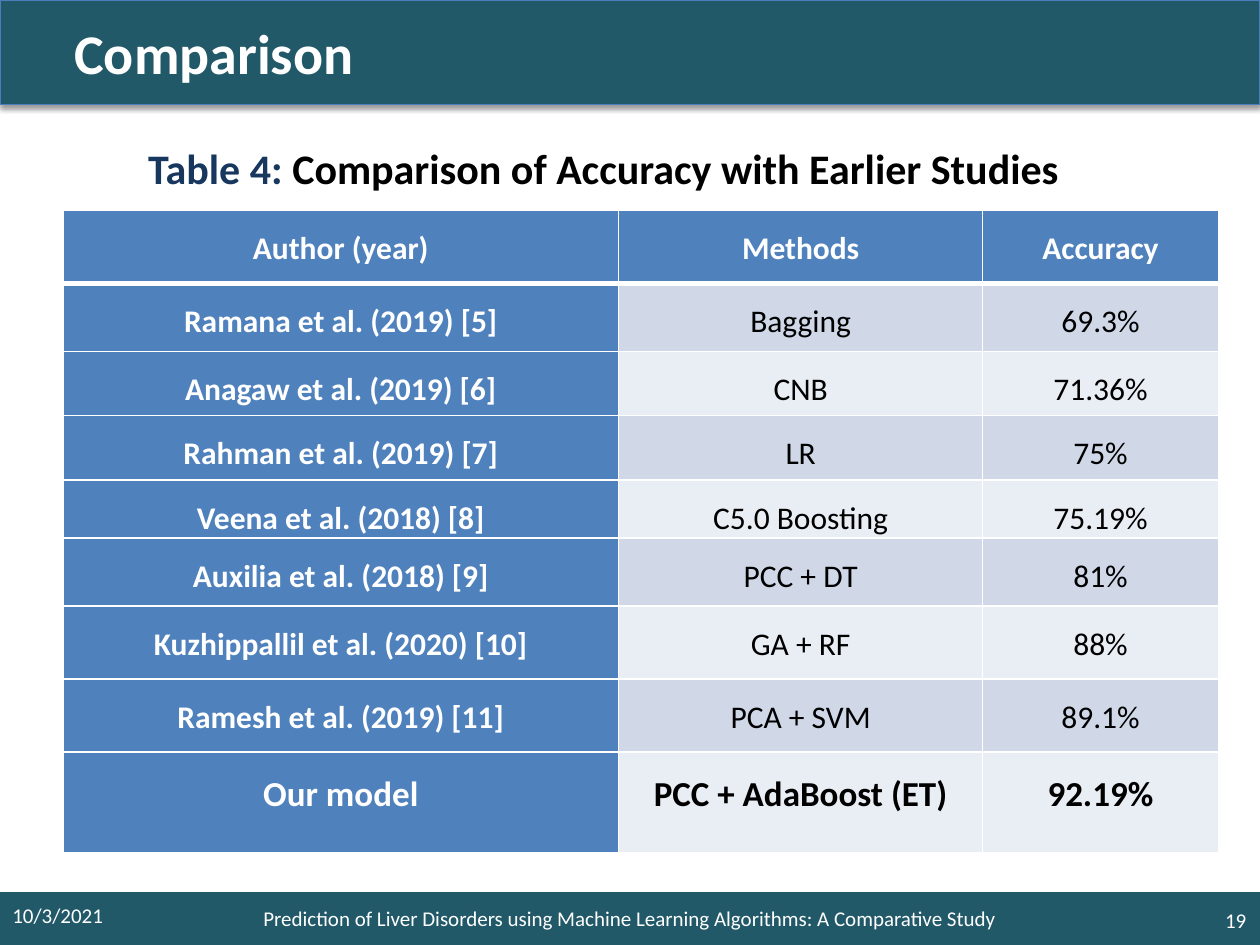
from dataclasses import dataclass

from lxml.etree import SubElement
from pptx import Presentation
from pptx.dml.color import RGBColor
from pptx.enum.shapes import MSO_SHAPE
from pptx.enum.text import MSO_ANCHOR, MSO_AUTO_SIZE, PP_ALIGN
from pptx.oxml import parse_xml
from pptx.oxml.ns import nsdecls, qn
from pptx.util import Inches, Pt


@dataclass(frozen=True)
class Theme:
    font: str = "Calibri"
    band: str = "215968"
    band_edge: str = "4B7EBC"
    caption_label: str = "17375E"
    key_cell: str = "4F81BD"
    stripes: tuple[str, str] = ("D0D8E8", "E9EDF4")
    white: str = "FFFFFF"
    black: str = "000000"
    title_size: int = 32
    caption_size: int = 24
    result_size: int = 20
    cell_size: int = 18
    footer_size: int = 12


@dataclass(frozen=True)
class Study:
    author: str
    methods: str
    accuracy: str
    height: float
    highlighted: bool = False


@dataclass(frozen=True)
class FooterNote:
    text: str
    left: float
    top: float
    width: float
    align: PP_ALIGN


THEME = Theme()
HEADER = Study("Author (year)", "Methods", "Accuracy", 0.58)
STUDIES = [
    Study("Ramana et al. (2019) [5]", "Bagging", "69.3%", 0.54),
    Study("Anagaw et al. (2019) [6]", "CNB", "71.36%", 0.51),
    Study("Rahman et al. (2019) [7]", "LR", "75%", 0.51),
    Study("Veena et al. (2018) [8]", "C5.0 Boosting", "75.19%", 0.46),
    Study("Auxilia et al. (2018) [9]", "PCC + DT", "81%", 0.54),
    Study("Kuzhippallil et al. (2020) [10]", "GA + RF", "88%", 0.58),
    Study("Ramesh et al. (2019) [11]", "PCA + SVM", "89.1%", 0.58),
    Study("Our model", "PCC + AdaBoost (ET)", "92.19%", 0.8, True),
]
COLUMN_WIDTHS = (4.41, 2.89, 1.87)
FOOTER_NOTES = [
    FooterNote("10/3/2021", 0, 7.06, 1.17, PP_ALIGN.LEFT),
    FooterNote("19", 9.57, 7.1, 0.42, PP_ALIGN.RIGHT),
]


def rgb(color: str) -> RGBColor:
    return RGBColor.from_string(color)


def style_paragraph(paragraph, size: int, color: str, align: PP_ALIGN, bold: bool = False) -> None:
    paragraph.alignment = align
    font = paragraph.font
    font.name = THEME.font
    font.size = Pt(size)
    font.bold = bold
    font.color.rgb = rgb(color)


def add_title(slide, text: str) -> None:
    title = slide.shapes.title
    title.left, title.top = Inches(0), Inches(0)
    title.width, title.height = Inches(10), Inches(0.83)
    title.fill.solid()
    title.fill.fore_color.rgb = rgb(THEME.band)
    title.line.color.rgb = rgb(THEME.band_edge)
    title.line.width = Pt(0.75)
    title.shadow.inherit = False
    effects = title.element.spPr.find(qn("a:effectLst"))
    shadow = SubElement(effects, qn("a:outerShdw"), blurRad=str(Pt(3.1)),
                        dist=str(Pt(1.6)), dir="5400000", rotWithShape="0")
    shadow_color = SubElement(shadow, qn("a:srgbClr"), val=THEME.black)
    SubElement(shadow_color, qn("a:alpha"), val="38000")
    frame = title.text_frame
    frame.text = text
    frame.auto_size = MSO_AUTO_SIZE.NONE
    frame.vertical_anchor = MSO_ANCHOR.MIDDLE
    frame.margin_left = Inches(0.59)
    style_paragraph(frame.paragraphs[0], THEME.title_size, THEME.white, PP_ALIGN.LEFT, True)


def add_footer(slide, study_title: str) -> None:
    band = slide.shapes.add_shape(MSO_SHAPE.RECTANGLE, Inches(0), Inches(7.08),
                                  Inches(10), Inches(0.42))
    band.shadow.inherit = False
    band.fill.solid()
    band.fill.fore_color.rgb = rgb(THEME.band)
    band.line.fill.background()
    band.text_frame.text = study_title
    style_paragraph(band.text_frame.paragraphs[0], THEME.footer_size, THEME.white, PP_ALIGN.CENTER)
    for note in FOOTER_NOTES:
        box = slide.shapes.add_textbox(Inches(note.left), Inches(note.top),
                                       Inches(note.width), Inches(0.4))
        frame = box.text_frame
        frame.word_wrap = True
        frame.vertical_anchor = MSO_ANCHOR.MIDDLE
        frame.text = note.text
        style_paragraph(frame.paragraphs[0], THEME.footer_size, THEME.white, note.align)


def add_caption(slide, label: str, text: str) -> None:
    box = slide.shapes.add_textbox(Inches(0.5), Inches(1.08), Inches(8.58), Inches(5.67))
    box.text_frame.word_wrap = True
    caption = box.text_frame.paragraphs[0]
    label_run = caption.add_run()
    label_run.text = label
    caption.add_run().text = text
    style_paragraph(caption, THEME.caption_size, THEME.black, PP_ALIGN.CENTER, True)
    label_run.font.color.rgb = rgb(THEME.caption_label)


def set_borders(cell, top: float, bottom: float) -> None:
    """Draw white borders; their XML must come before the cell's fill."""
    properties = cell._tc.get_or_add_tcPr()
    widths = {"lnL": 1, "lnR": 1, "lnT": top, "lnB": bottom}
    for position, (side, width) in enumerate(widths.items()):
        properties.insert(position, parse_xml(
            f'<a:{side} {nsdecls("a")} w="{Pt(width)}"><a:solidFill>'
            f'<a:srgbClr val="{THEME.white}"/></a:solidFill></a:{side}>'))


def add_comparison_table(slide) -> None:
    rows = [HEADER, *STUDIES]
    table = slide.shapes.add_table(
        len(rows), len(COLUMN_WIDTHS), Inches(0.5), Inches(1.67),
        Inches(sum(COLUMN_WIDTHS)), Inches(sum(row.height for row in rows))).table
    table.first_col = True
    for column, width in zip(table.columns, COLUMN_WIDTHS):
        column.width = Inches(width)
    for row_index, study in enumerate(rows):
        table.rows[row_index].height = Inches(study.height)
        size = THEME.result_size if study.highlighted else THEME.cell_size
        for column_index, text in enumerate((study.author, study.methods, study.accuracy)):
            is_key = row_index == 0 or column_index == 0
            cell = table.cell(row_index, column_index)
            cell.margin_left = cell.margin_right = Inches(0.07)
            cell.margin_top = cell.margin_bottom = 0
            cell.fill.solid()
            cell.fill.fore_color.rgb = rgb(
                THEME.key_cell if is_key else THEME.stripes[(row_index - 1) % 2])
            set_borders(cell, top=3 if row_index == 1 else 1, bottom=3 if row_index == 0 else 1)
            cell.text = text
            paragraph = cell.text_frame.paragraphs[0]
            paragraph.line_spacing = 1.5
            style_paragraph(paragraph, size, THEME.white if is_key else THEME.black,
                            PP_ALIGN.CENTER, is_key or study.highlighted)


def main() -> None:
    presentation = Presentation()
    presentation.slide_width, presentation.slide_height = Inches(10), Inches(7.5)
    slide = presentation.slides.add_slide(presentation.slide_layouts.get_by_name("Title Only"))
    add_title(slide, "Comparison")
    add_footer(slide, "Prediction of Liver Disorders using Machine Learning Algorithms: "
                      "A Comparative Study")
    add_caption(slide, "Table 4: ", "Comparison of Accuracy with Earlier Studies")
    add_comparison_table(slide)
    presentation.save("out.pptx")


if __name__ == "__main__":
    main()
